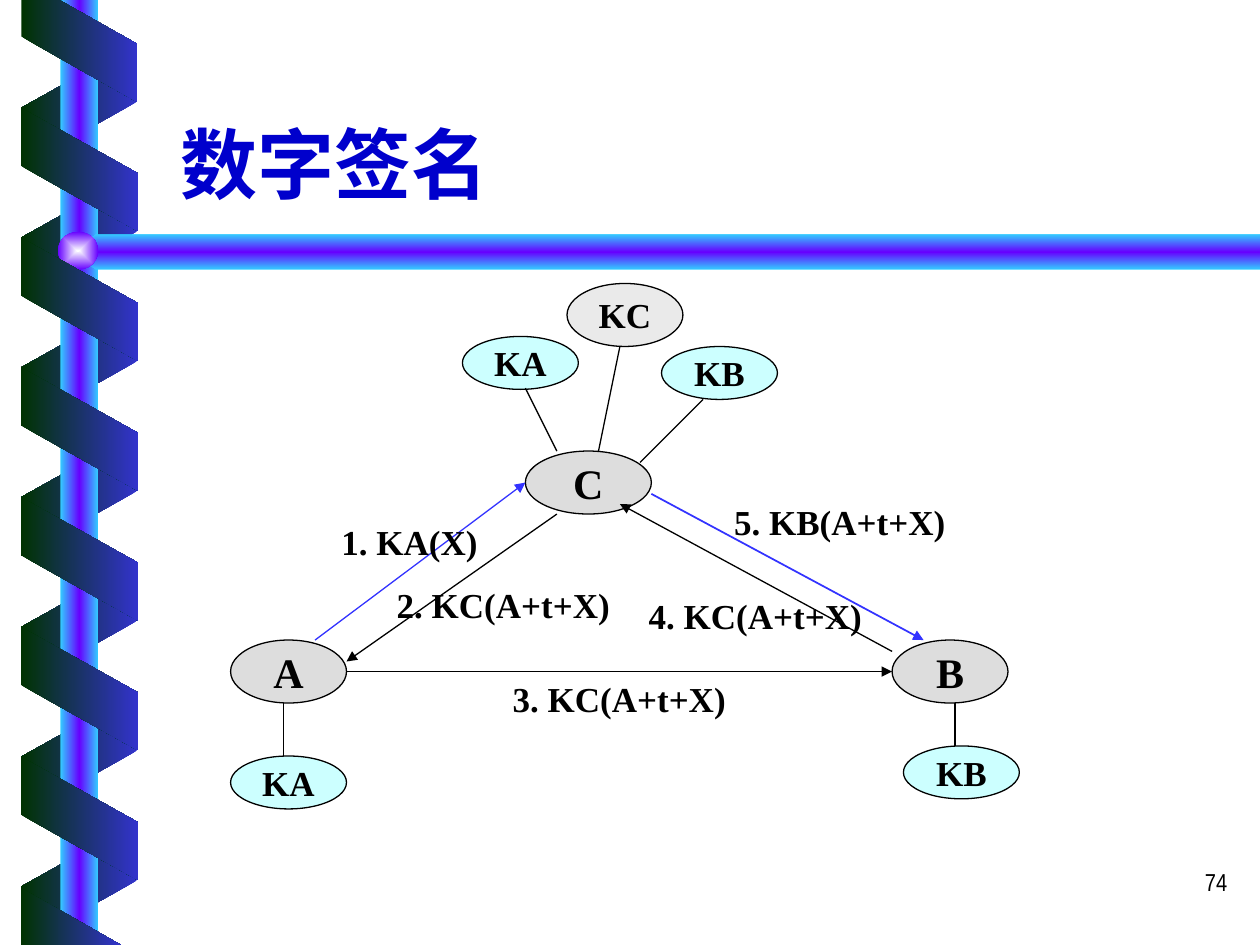
from dataclasses import dataclass
from typing import Optional

import pptx
import pptx.dml.color
import pptx.enum.shapes
import pptx.enum.text
import pptx.oxml
import pptx.oxml.ns
import pptx.util

Inches, Pt = pptx.util.Inches, pptx.util.Pt
RGBColor = pptx.dml.color.RGBColor
MSO_SHAPE = pptx.enum.shapes.MSO_SHAPE
PP_ALIGN = pptx.enum.text.PP_ALIGN
MSO_ANCHOR = pptx.enum.text.MSO_ANCHOR
MSO_AUTO_SIZE = pptx.enum.text.MSO_AUTO_SIZE
qn = pptx.oxml.ns.qn

BLACK = RGBColor(0x00, 0x00, 0x00)
TITLE_BLUE = RGBColor(0x00, 0x00, 0xCC)
ARROW_BLUE = RGBColor(0x33, 0x33, 0xFF)
NODE_GREY = RGBColor(0xDD, 0xDD, 0xDD)
LIGHT_GREY = RGBColor(0xEA, 0xEA, 0xEA)
KEY_CYAN = RGBColor(0xCC, 0xFF, 0xFF)
DARK_GREEN = RGBColor(0x00, 0x33, 0x00)
RIBBON_BLUE = RGBColor(0x33, 0x33, 0xCC)
SKY = RGBColor(0x33, 0xCC, 0xFF)
VIOLET = RGBColor(0x66, 0x00, 0xFF)
PEARL = RGBColor(0xFE, 0xFF, 0xFF)

FRONT = [DARK_GREEN, RIBBON_BLUE]
BACK = [RIBBON_BLUE, DARK_GREEN]
TUBE = [SKY, VIOLET, SKY]
LINEAR = '<a:lin ang="{}" scaled="0"/>'
CENTRED = ('<a:path path="rect"><a:fillToRect l="50000" t="50000" '
           'r="50000" b="50000"/></a:path>')
PITCH = 1.03  # height of one turn of the ribbon
SERIF = "Times New Roman"


@dataclass
class Node:
    text: str
    left: float
    top: float
    width: float = 0.92
    height: float = 0.42
    fill: RGBColor = KEY_CYAN
    size: int = 20


@dataclass
class Link:
    start: tuple[float, float]
    end: tuple[float, float]
    arrow: bool = False
    color: RGBColor = BLACK
    width: float = 0.75


@dataclass
class Label:
    text: str
    left: float
    top: float
    width: float = 2.33


NODES = [
    Node("A", 1.83, 5.08, height=0.5, fill=NODE_GREY, size=24),
    Node("B", 7.08, 5.08, height=0.5, fill=NODE_GREY, size=24),
    Node("C", 4.17, 3.58, 1, 0.5, NODE_GREY, 24),
    Node("KA", 3.67, 2.67),
    Node("KB", 5.25, 2.75),
    Node("KC", 4.5, 2.25, height=0.5, fill=LIGHT_GREY),
    Node("KA", 1.83, 6),
    Node("KB", 7.17, 5.92),
]
LINKS = [
    # Keys held by each party
    Link((4.42, 3.58), (4.17, 3.08)),
    Link((4.92, 2.75), (4.75, 3.58)),
    Link((5.58, 3.17), (5.08, 3.67)),
    Link((2.25, 6), (2.25, 5.58)),
    Link((7.58, 5.92), (7.58, 5.58)),
    # Messages
    Link((2.75, 5.33), (7.08, 5.33), True),
    Link((2.5, 5.08), (4.17, 3.83), True, ARROW_BLUE),
    Link((4.42, 4.08), (2.75, 5.25), True),
    Link((7.08, 5.17), (4.92, 4), True),
    Link((5.17, 3.92), (7.33, 5.08), True, ARROW_BLUE, 1),
]
LABELS = [
    Label("1. KA(X)", 2.5, 4.08, 1.5),
    Label("2. KC(A+t+X)", 2.83, 4.58),
    Label("3. KC(A+t+X)", 3.75, 5.33),
    Label("4. KC(A+t+X)", 4.83, 4.67),
    Label("5. KB(A+t+X)", 5.5, 3.92),
]


def set_gradient(sp, colors: list[RGBColor], direction: str = LINEAR.format(0)) -> None:
    """Fill an outline-free shape with evenly spaced colour stops."""
    stops = "".join(
        f'<a:gs pos="{100000 * i // (len(colors) - 1)}"><a:srgbClr val="{c}"/></a:gs>'
        for i, c in enumerate(colors))
    sp.shadow.inherit = False
    sp.line.fill.background()
    sp.fill.gradient()
    old = sp._element.spPr.find(qn("a:gradFill"))
    old.getparent().replace(old, pptx.oxml.parse_xml(
        f'<a:gradFill {pptx.oxml.ns.nsdecls("a")} rotWithShape="0">'
        f'<a:gsLst>{stops}</a:gsLst>{direction}</a:gradFill>'))


def add_preset(s, kind, left: float, top: float, width: float, height: float):
    return s.shapes.add_shape(kind, Inches(left), Inches(top),
                              Inches(width), Inches(height))


def add_band(s, top: float, front: bool) -> None:
    sp = add_preset(s, MSO_SHAPE.PARALLELOGRAM, 0.14, top, 0.98, 0.93 if front else 0.92)
    sp.adjustments[0] = 0.56
    sp.rotation = 270 if front else 90
    if not front:
        sp._element.spPr.get_or_add_xfrm().set("flipH", "1")
    set_gradient(sp, FRONT if front else BACK)


def add_outline(s, points: list[tuple[float, float]]):
    pts = [(Inches(x), Inches(y)) for x, y in points]
    builder = s.shapes.build_freeform(*pts[0])
    builder.add_line_segments(pts[1:], close=True)
    return builder.convert_to_shape()


def set_text(tf, text: str, size: int, align, font: str = SERIF,
             color: RGBColor = BLACK, bold: bool = True) -> None:
    p = tf.paragraphs[0]
    p.text = text
    p.alignment = align
    p.font.name, p.font.size, p.font.bold = font, Pt(size), bold
    p.font.color.rgb = color


def add_node(s, node: Node) -> None:
    sp = add_preset(s, MSO_SHAPE.OVAL, node.left, node.top, node.width, node.height)
    sp.shadow.inherit = False
    sp.fill.solid()
    sp.fill.fore_color.rgb = node.fill
    sp.line.color.rgb = BLACK
    sp.line.width = Pt(0.75)
    sp.text_frame.word_wrap = False
    sp.text_frame.vertical_anchor = MSO_ANCHOR.MIDDLE
    set_text(sp.text_frame, node.text, node.size, PP_ALIGN.CENTER)


def add_link(s, link: Link) -> None:
    line = s.shapes.add_connector(pptx.enum.shapes.MSO_CONNECTOR.STRAIGHT,
                                  *map(Inches, link.start + link.end))
    line.line.color.rgb = link.color
    line.line.width = Pt(link.width)
    if link.arrow:
        ln = line.line._get_or_add_ln()
        ln.append(ln.makeelement(qn("a:tailEnd"), {"type": "triangle"}))
    spPr = line._element.spPr
    spPr.append(spPr.makeelement(qn("a:effectLst"), {}))


def add_text(s, left: float, top: float, width: float, height: float,
             autosize: Optional[MSO_AUTO_SIZE] = None):
    box = s.shapes.add_textbox(Inches(left), Inches(top), Inches(width), Inches(height))
    box.text_frame.word_wrap = True
    box.text_frame.auto_size = autosize
    return box.text_frame


prs = pptx.Presentation()
prs.slide_width, prs.slide_height = Inches(10), Inches(7.5)
s = prs.slides.add_slide(prs.slide_layouts[5])

# Ribbon behind the pole
for i in range(7):
    add_band(s, 0.37 + PITCH * i, front=False)

# Pole, horizontal bar and ball
set_gradient(add_preset(s, MSO_SHAPE.RECTANGLE, 0.48, 0, 0.3, 7.5), TUBE)
bar = add_outline(s, [(10, 1.86), (0.76, 1.86), (0.6, 2), (0.76, 2.14), (10, 2.14)])
set_gradient(bar, TUBE, LINEAR.format(5400000))
ball = add_preset(s, MSO_SHAPE.OVAL, 0.46, 1.84, 0.32, 0.3)
set_gradient(ball, [PEARL, VIOLET], CENTRED)

# Ribbon in front, with cut ends at the slide edges
for i in range(6):
    add_band(s, 0.88 + PITCH * i, front=True)
for end in ([(0.17, 0), (0.17, 0.29), (1.09, 0.81), (1.09, 0.35), (0.47, 0)],
            [(0.96, 7.5), (0.17, 7.05), (0.17, 7.5)]):
    set_gradient(add_outline(s, end), FRONT)

# Title
title = s.shapes.title
title.left, title.top, title.width, title.height = map(Inches, (1.33, 0.46, 8.5, 1.25))
tf = title.text_frame
tf.vertical_anchor = MSO_ANCHOR.BOTTOM
tf.auto_size = MSO_AUTO_SIZE.NONE
set_text(tf, "数字签名", 44, PP_ALIGN.LEFT, "Noto Sans CJK SC", TITLE_BLUE)
latin = tf.paragraphs[0].font._element.find(qn("a:latin"))
latin.addnext(latin.makeelement(qn("a:ea"), {"typeface": "Noto Sans CJK SC"}))

# Signature protocol diagram
for node in NODES:
    add_node(s, node)
for link in LINKS:
    add_link(s, link)
for label in LABELS:
    tf = add_text(s, label.left, label.top, label.width, 0.44, MSO_AUTO_SIZE.SHAPE_TO_FIT_TEXT)
    set_text(tf, label.text, 20, PP_ALIGN.CENTER)

# Page number
set_text(add_text(s, 7.76, 6.83, 2.08, 0.5), "74", 14, PP_ALIGN.RIGHT, "Arial Narrow", bold=False)

prs.save("out.pptx")
